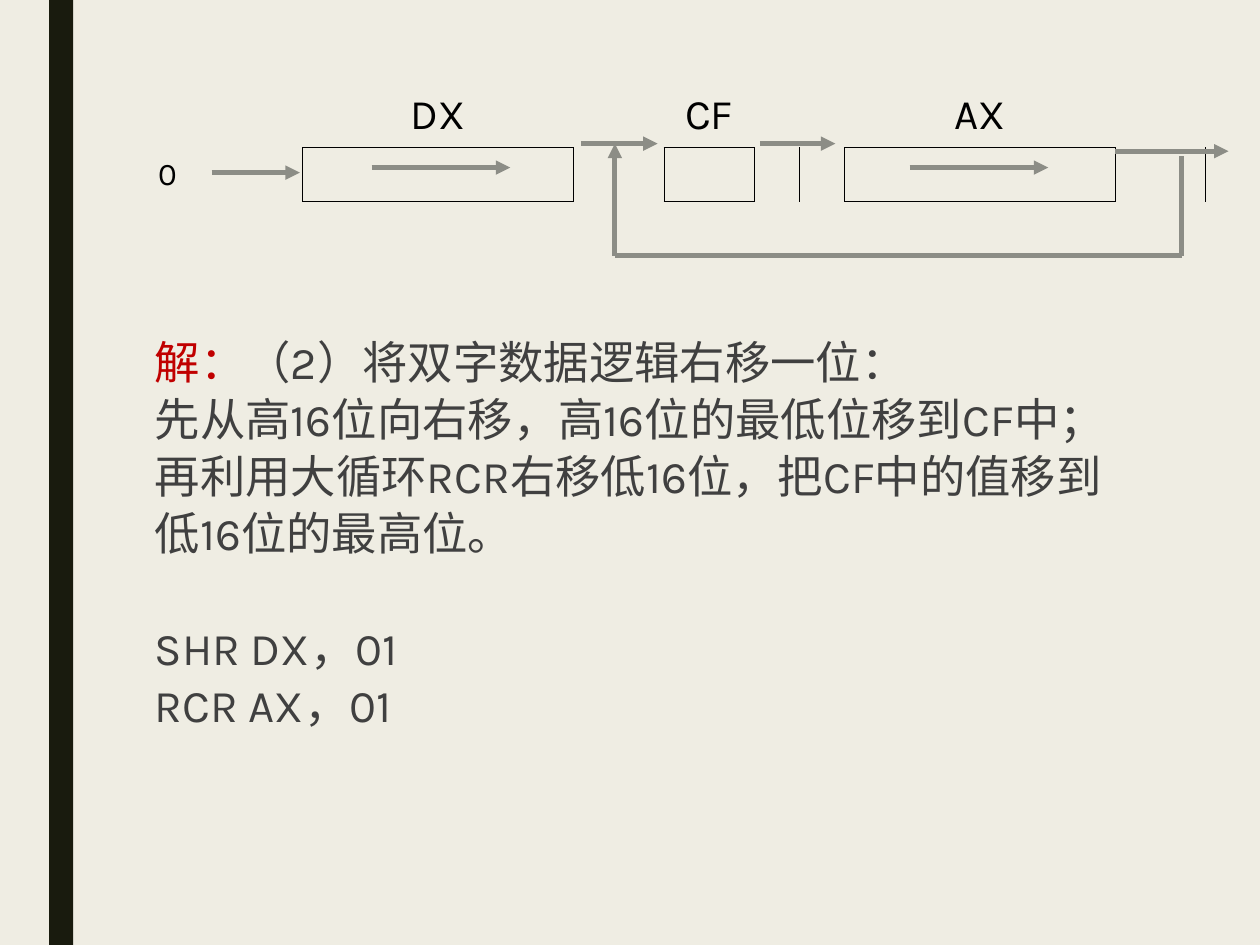
from dataclasses import dataclass

from lxml import etree
from pptx import Presentation
from pptx import util as u
from pptx.dml.color import RGBColor
from pptx.enum import shapes, text
from pptx.oxml import ns


@dataclass(frozen=True)
class Theme:
    font: str = "Karla"
    paper: str = "EFEDE3"
    bar: str = "191B0E"
    body: str = "404040"
    accent: str = "C00000"
    ink: str = "000000"
    arrow: str = "8C8D86"
    body_size: float = 25.9
    register_size: float = 24
    bit_size: float = 18
    arrow_width: float = 2.75
    border_width: float = 0.45
    plain_table: str = "{2D5ABB26-0587-4C30-8999-92F81FD0307C}"


class ShiftSlide:
    def __init__(self, deck, theme):
        self.theme = theme
        self.slide = deck.slides.add_slide(deck.slide_layouts[6])
        self.slide.background.fill.solid()
        self.slide.background.fill.fore_color.rgb = RGBColor.from_string(theme.paper)

    def style(self, run, size, color):
        run.font.name = self.theme.font
        run.font.size = u.Pt(size)
        run.font.color.rgb = RGBColor.from_string(color)

    def bar(self, left, top, width, height):
        bar = self.slide.shapes.add_shape(
            shapes.MSO_SHAPE.RECTANGLE, *map(u.Inches, (left, top, width, height)))
        bar.shadow.inherit = False
        bar.fill.solid()
        bar.fill.fore_color.rgb = RGBColor.from_string(self.theme.bar)
        bar.line.fill.background()

    def explanation(self, left, top, width, height, lead, lines, code):
        frame = self.slide.shapes.add_textbox(
            *map(u.Inches, (left, top, width, height))).text_frame
        frame.word_wrap = True
        frame.text = "\n".join(lines + code)
        for paragraph in frame.paragraphs:
            paragraph.line_spacing = 1.05
            self.style(paragraph.runs[0], self.theme.body_size, self.theme.body)
        frame.paragraphs[len(lines)].space_before = u.Pt(33)
        opening = frame.paragraphs[0]
        opening.runs[0].text = lead
        opening.runs[0].font.color.rgb = RGBColor.from_string(self.theme.accent)
        rest = opening.add_run()
        rest.text = lines[0]
        self.style(rest, self.theme.body_size, self.theme.body)

    def border(self, cell, sides):
        properties = cell._tc.get_or_add_tcPr()
        for side in sides:
            line = etree.SubElement(properties, ns.qn(f"a:ln{side}"),
                                    w=str(u.Pt(self.theme.border_width)))
            fill = etree.SubElement(line, ns.qn("a:solidFill"))
            etree.SubElement(fill, ns.qn("a:srgbClr"), val=self.theme.ink)

    def label(self, cell, wording, size):
        cell.text = wording
        cell.vertical_anchor = text.MSO_ANCHOR.MIDDLE
        paragraph = cell.text_frame.paragraphs[0]
        paragraph.alignment = text.PP_ALIGN.CENTER
        self.style(paragraph.runs[0], size, self.theme.ink)

    def registers(self, left, top, column_widths, row_heights, boxes, incoming_bit):
        frame = self.slide.shapes.add_table(
            len(row_heights), len(column_widths), u.Inches(left), u.Inches(top),
            u.Inches(sum(column_widths)), u.Inches(sum(row_heights)))
        table = frame.table
        table.first_row = table.horz_banding = False
        table._tbl.tblPr.find(ns.qn("a:tableStyleId")).text = self.theme.plain_table
        for column, width in zip(table.columns, column_widths):
            column.width = u.Inches(width)
        for row, height in zip(table.rows, row_heights):
            row.height = u.Inches(height)

        for name, first, last in boxes:
            for column in range(first, last + 1):
                self.border(table.cell(0, column), "B")
                self.border(table.cell(1, column), "LRTB" if column == first else "TB")
                self.border(table.cell(2, column), "T")
            self.border(table.cell(1, first - 1), "R")
            self.border(table.cell(1, last + 1), "L")
            if last > first:
                for row in (0, 1):
                    table.cell(row, first).merge(table.cell(row, last))
            self.label(table.cell(0, first), name, self.theme.register_size)
        table.cell(0, 7).merge(table.cell(0, 8))
        self.label(table.cell(1, 0), incoming_bit, self.theme.bit_size)
        for cell in table.iter_cells():
            cell.fill.background()

    def line(self, start, end, arrow=True, group=None):
        owner = group.shapes if group else self.slide.shapes
        line = owner.add_connector(
            shapes.MSO_CONNECTOR.STRAIGHT, *map(u.Inches, start + end))
        line.line.width = u.Pt(self.theme.arrow_width)
        line.line.color.rgb = RGBColor.from_string(self.theme.arrow)
        if arrow:
            etree.SubElement(line.line._get_or_add_ln(), ns.qn("a:tailEnd"), type="triangle")
        etree.SubElement(line._element.spPr, ns.qn("a:effectLst"))

    def feedback(self, left, right, tip, start, bottom):
        loop = self.slide.shapes.add_group_shape()
        self.line((left, bottom), (left, tip), group=loop)
        self.line((right, start), (right, bottom), arrow=False, group=loop)
        self.line((left, bottom), (right, bottom), arrow=False, group=loop)


def main():
    deck = Presentation()
    deck.slide_width, deck.slide_height = u.Inches(10), u.Inches(7.5)
    page = ShiftSlide(deck, Theme())
    page.bar(0.39, 0, 0.19, 7.5)
    page.explanation(
        1.13, 2.58, 7.87, 3.92,
        "解：",
        ["（2）将双字数据逻辑右移一位：",
         "先从高16位向右移，高16位的最低位移到CF中；",
         "再利用大循环RCR右移低16位，把CF中的值移到低16位的最高位。"],
        ["SHR DX，01", "RCR AX，01"])

    unit = 8.6 / 12
    page.registers(
        0.97, 0.67, [unit] * 7 + [unit / 2] * 2 + [unit] * 4, [0.5, 0.43, 0.43],
        [("DX", 2, 4), ("CF", 6, 6), ("AX", 9, 11)], "0")

    for left, right, height in [
        (4.61, 5.22, 1.14), (6.03, 6.63, 1.14), (8.85, 9.75, 1.2),
        (1.68, 2.38, 1.37), (2.95, 4.05, 1.33), (7.22, 8.32, 1.33),
    ]:
        page.line((left, height), (right, height))
    page.feedback(left=4.88, right=9.38, tip=1.14, start=1.24, bottom=2.03)
    deck.save("out.pptx")


if __name__ == "__main__":
    main()
